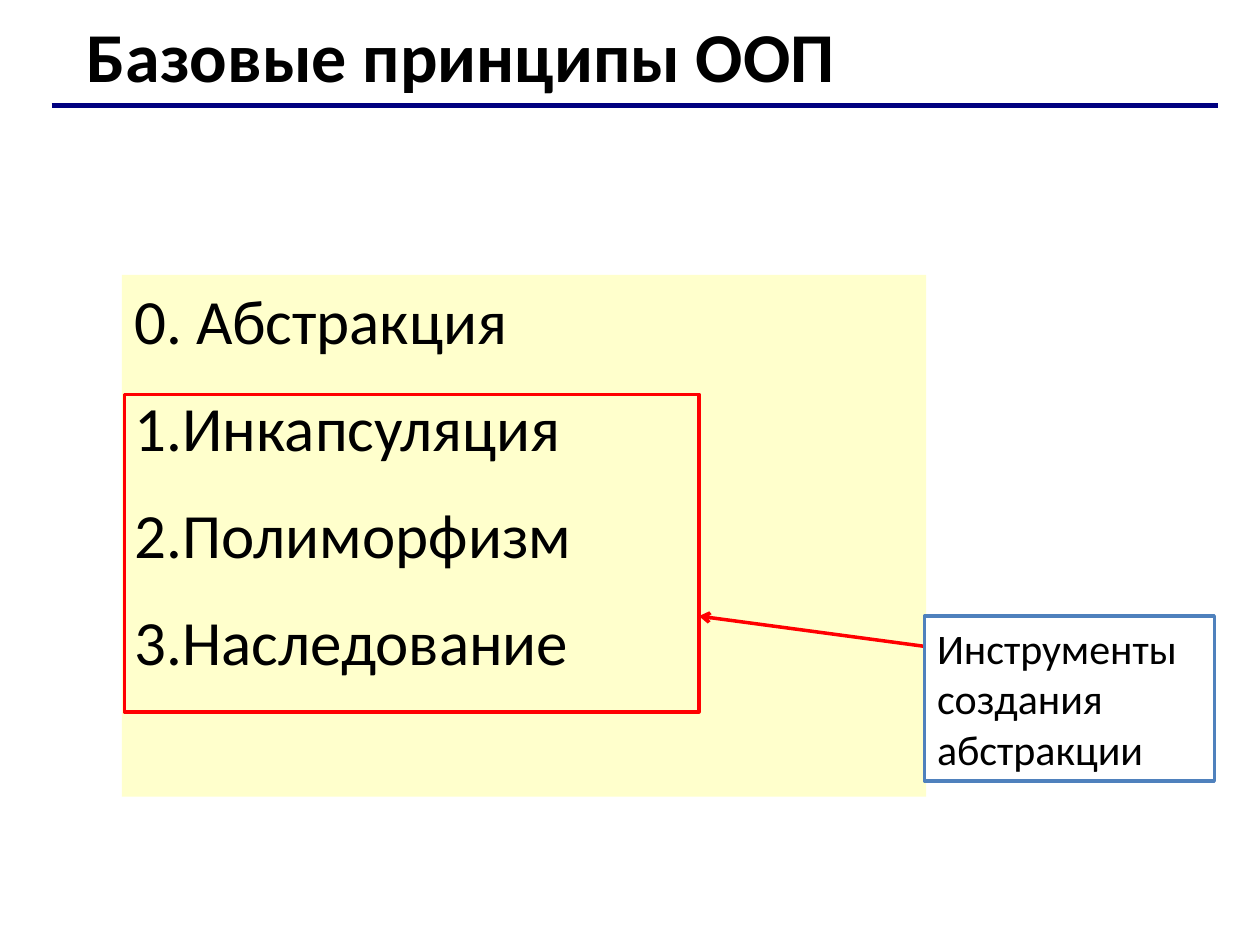
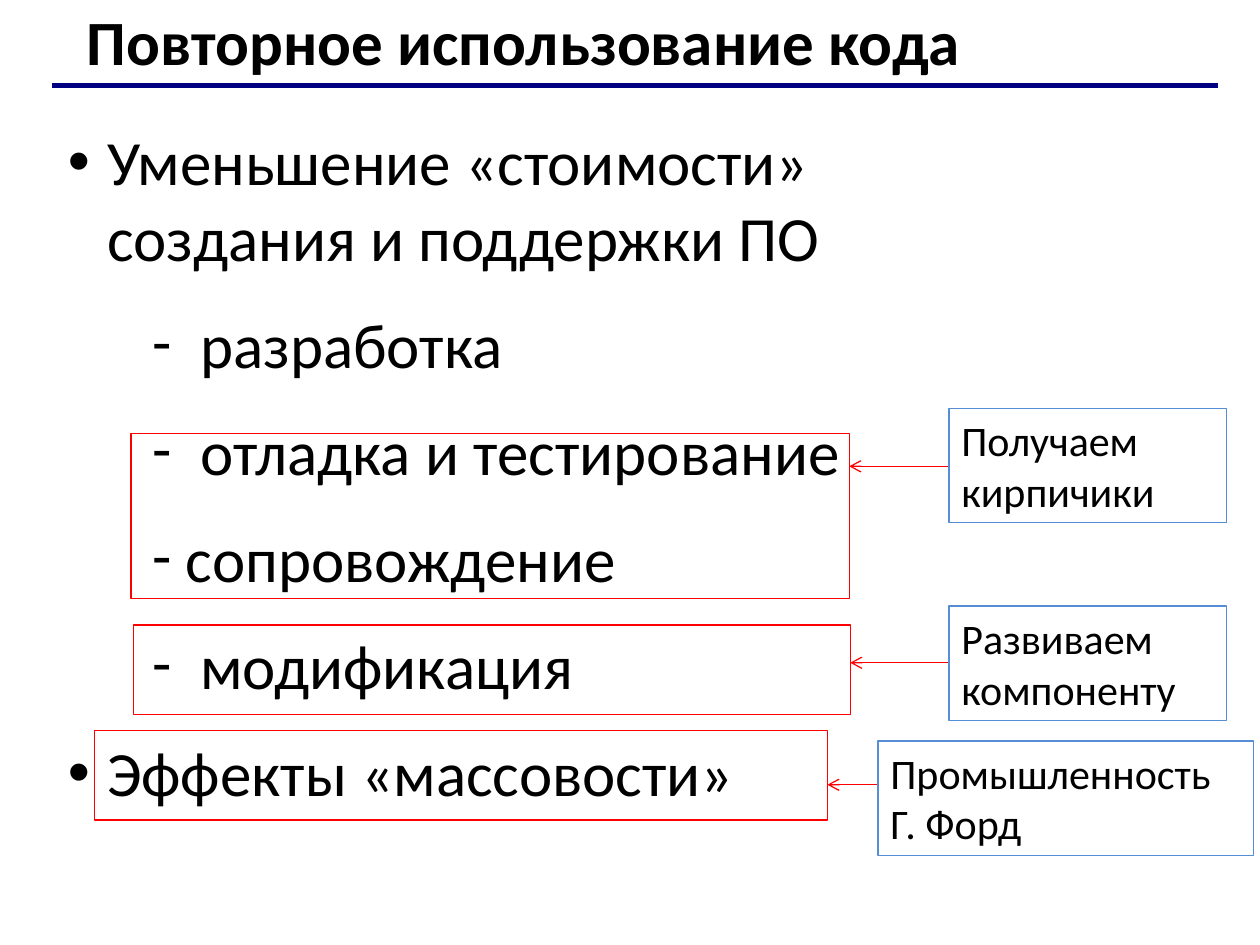
from lxml import etree
from pptx import Presentation
from pptx.dml.color import RGBColor
from pptx.enum.shapes import MSO_CONNECTOR, MSO_SHAPE
from pptx.enum.text import MSO_ANCHOR, MSO_AUTO_SIZE, PP_ALIGN
from pptx.oxml.ns import qn
from pptx.util import Cm, Pt

RECT = MSO_SHAPE.RECTANGLE
STRAIGHT = MSO_CONNECTOR.STRAIGHT
TOP = MSO_ANCHOR.TOP
LEFT = PP_ALIGN.LEFT
NO_FIT = MSO_AUTO_SIZE.NONE

BLACK, WHITE, RED, NAVY, CREAM = "000000", "FFFFFF", "FF0000", "000080", "FFFFCC"
FONT = "Calibri"
RULE_X = (1.04, 24.56)

STYLES = {
    "plain": (0, 0, None),
    "number": (0.97, -0.97, ("buAutoNum", {"type": "arabicPeriod"})),
    "bullet": (0.79, -0.79, ("buChar", {"char": "•"})),
    "dash": (2.67, -0.97, ("buChar", {"char": "-"})),
    "tight dash": (2.38, -0.68, ("buChar", {"char": "-"})),
}

SLIDES = [
    {
        "title": "Базовые принципы ООП", "title_size": 40,
        "title_box": (1.5, 0.13, 21.21, 1.96), "rule_y": 2.13,
        "body_box": (2.46, 5.54, 16.21, 10.52), "body_fill": CREAM,
        "body": [
            ("plain", "0. Абстракция"),
            ("number", "Инкапсуляция"),
            ("number", "Полиморфизм"),
            ("number", "Наследование"),
        ],
        "callout_line": "4F81BD", "line_width": 2,
        "notes": [
            ("Инструменты создания абстракции", (2.51, 7.95, 11.58, 6.4),
             (18.64, 12.42, 5.84, 3.33), (13.03, 12.42)),
        ],
    },
    {
        "title": "Повторное использование кода", "title_size": 36,
        "title_box": (1.5, -0.08, 21.21, 1.8), "rule_y": 1.73,
        "body_box": (1.12, 2.34, 17.63, 16.41), "body_fill": None,
        "body": [
            ("bullet", "Уменьшение «стоимости» создания и поддержки ПО"),
            ("dash", "разработка"),
            ("dash", "отладка и тестирование"),
            ("tight dash", "сопровождение"),
            ("dash", "модификация"),
            ("bullet", "Эффекты «массовости»"),
        ],
        "callout_line": "558ED5", "line_width": 0.75,
        "notes": [
            ("Получаем кирпичики", (2.64, 8.74, 14.48, 3.33),
             (19.13, 8.23, 5.59, 2.31), (9.4, 9.4)),
            ("Развиваем компоненту", (2.69, 12.6, 14.45, 1.8),
             (19.13, 12.22, 5.59, 2.31), (13.36, 13.36)),
            ("Промышленность Г. Форд", (1.9, 14.73, 14.78, 1.8),
             (17.7, 14.94, 7.57, 2.31), (15.82, 15.82)),
        ],
    },
]


def rgb(color):
    return RGBColor.from_string(color)


def set_all(target, values):
    for name, value in values.items():
        setattr(target, name, value)


def write(tf, items, size, bold=False, after=0):
    set_all(tf, {
        "word_wrap": True, "auto_size": NO_FIT, "vertical_anchor": TOP,
        "margin_left": Cm(0.25), "margin_right": Cm(0.25),
        "margin_top": Cm(0.13), "margin_bottom": Cm(0.13),
    })
    for i, (style, text) in enumerate(items):
        p = tf.paragraphs[0] if i == 0 else tf.add_paragraph()
        margin, indent, marker = STYLES[style]
        pPr = p._p.get_or_add_pPr()
        pPr.set("marL", str(Cm(margin)))
        pPr.set("indent", str(Cm(indent)))
        if marker:
            tag, attributes = marker
            face = "Arial" if style == "bullet" else FONT
            etree.SubElement(pPr, qn("a:buFont"), typeface=face)
            etree.SubElement(pPr, qn("a:" + tag), attributes)
        set_all(p, {"alignment": LEFT, "space_after": Pt(after)})
        r = p.add_run()
        r.text = text
        set_all(r.font, {"name": FONT, "size": Pt(size), "bold": bold})
        r.font.color.rgb = rgb(BLACK)


def add_box(s, box, fill=None, line=None, width=0):
    sp = s.shapes.add_shape(RECT, *map(Cm, box))
    sp.shadow.inherit = False
    if fill:
        sp.fill.solid()
        sp.fill.fore_color.rgb = rgb(fill)
    else:
        sp.fill.background()
    if line:
        sp.line.color.rgb = rgb(line)
        sp.line.width = Pt(width)
    else:
        sp.line.fill.background()
    return sp


def add_line(s, x1, y1, x2, y2, color, width, arrow=False):
    line = s.shapes.add_connector(STRAIGHT, *map(Cm, (x1, y1, x2, y2)))
    line.line.color.rgb = rgb(color)
    line.line.width = Pt(width)
    if arrow:
        etree.SubElement(line.line._get_or_add_ln(), qn("a:tailEnd"), type="arrow")
    etree.SubElement(line._element.spPr, qn("a:effectLst"))


def add_note(s, text, frame, callout, arrow_y, line, width):
    add_box(s, frame, line=RED, width=width)
    add_line(s, callout[0], arrow_y[0], frame[0] + frame[2], arrow_y[1], RED, width, True)
    sp = add_box(s, callout, WHITE, line, width)
    write(sp.text_frame, [("plain", text)], 24)


def add_slide(prs, d):
    s = prs.slides.add_slide(prs.slide_layouts[5])
    title = s.shapes.title
    set_all(title, dict(zip(("left", "top", "width", "height"), map(Cm, d["title_box"]))))
    write(title.text_frame, [("plain", d["title"])], d["title_size"], bold=True)
    add_line(s, RULE_X[0], d["rule_y"], RULE_X[1], d["rule_y"], NAVY, 3)
    body = add_box(s, d["body_box"], d["body_fill"])
    write(body.text_frame, d["body"], 36, after=18)
    for note in d["notes"]:
        add_note(s, *note, d["callout_line"], d["line_width"])


def main():
    prs = Presentation()
    set_all(prs, {"slide_width": Cm(25.4), "slide_height": Cm(19.05)})
    for d in SLIDES:
        add_slide(prs, d)
    prs.save("out.pptx")


if __name__ == "__main__":
    main()
